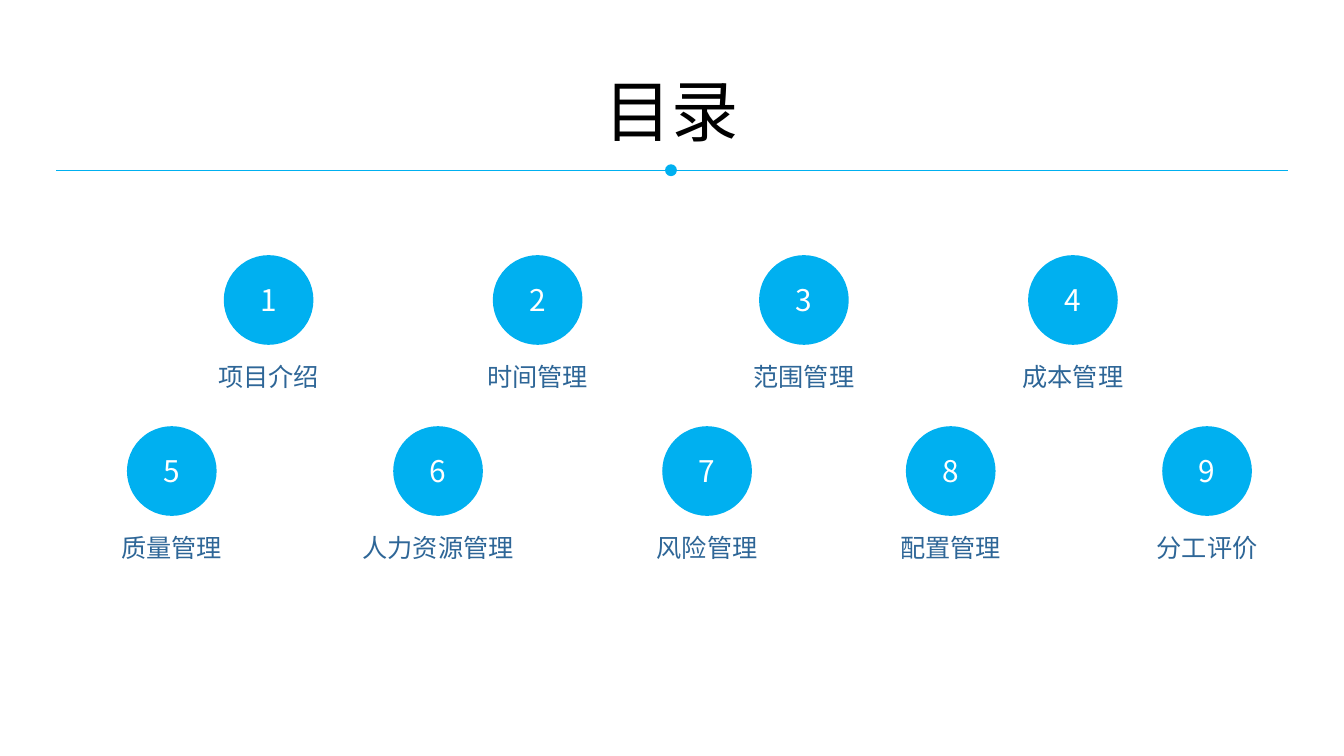
from lxml import etree
from pptx import Presentation
from pptx.dml.color import RGBColor
from pptx.enum.shapes import MSO_CONNECTOR, MSO_SHAPE
from pptx.enum.text import MSO_ANCHOR, MSO_AUTO_SIZE, PP_ALIGN
from pptx.oxml.ns import qn
from pptx.util import Cm, Pt

OVAL = MSO_SHAPE.OVAL
LINE = MSO_CONNECTOR.STRAIGHT
CENTER = PP_ALIGN.CENTER
MIDDLE = MSO_ANCHOR.MIDDLE
GROW = MSO_AUTO_SIZE.SHAPE_TO_FIT_TEXT

BLUE = "00B0F0"
TITLE = {"size": Pt(48), "name": "Noto Sans CJK SC", "color": "000000"}
DIGIT = {"size": Pt(21.3), "name": "Noto Sans CJK KR", "color": "FFFFFF"}
LABEL = {"size": Pt(18), "name": "Noto Sans CJK SC", "color": "2E6697"}

SIZE = 2.26
ROWS = [
    (6.43, [(5.64, "项目介绍"), (12.42, "时间管理"),
            (19.13, "范围管理"), (25.91, "成本管理")]),
    (10.74, [(3.2, "质量管理"), (9.91, "人力资源管理"), (16.69, "风险管理"),
             (22.83, "配置管理"), (29.29, "分工评价")]),
]


def paint(color, code):
    """Set a colour format from a hex string."""
    color.rgb = RGBColor.from_string(code)


def write(frame, text, style):
    """Write one centred line of styled text."""
    para = frame.paragraphs[0]
    para.alignment = CENTER
    run = para.add_run()
    run.text = text
    for key, value in style.items():
        if key == "color":
            paint(run.font.color, value)
        else:
            setattr(run.font, key, value)
    east = etree.SubElement(run.font._element, qn("a:ea"))
    east.set("typeface", style["name"])


def add_text(shapes, left, top, width, height, text, style):
    """Add a wrapping text box that grows with its text."""
    box = shapes.add_textbox(Cm(left), Cm(top), Cm(width), Cm(height))
    frame = box.text_frame
    for key, value in {"word_wrap": True, "auto_size": GROW}.items():
        setattr(frame, key, value)
    write(frame, text, style)


def add_disc(shapes, left, top, size):
    """Add a plain blue circle and return it."""
    disc = shapes.add_shape(OVAL, Cm(left), Cm(top), Cm(size), Cm(size))
    disc.shadow.inherit = False
    disc.fill.solid()
    paint(disc.fill.fore_color, BLUE)
    disc.line.fill.background()
    return disc


def add_rule(shapes, left, right, top):
    """Add a thin blue horizontal line."""
    rule = shapes.add_connector(LINE, Cm(left), Cm(top), Cm(right), Cm(top))
    paint(rule.line.color, BLUE)
    rule.line.width = Pt(0.75)
    etree.SubElement(rule._element.spPr, qn("a:effectLst"))


def add_topic(shapes, left, top, number, name):
    """Add a numbered circle with its label below."""
    group = shapes.add_group_shape().shapes
    disc = add_disc(group, left, top, SIZE)
    disc.text_frame.vertical_anchor = MIDDLE
    write(disc.text_frame, str(number), DIGIT)
    add_text(group, left - SIZE, top + 2.54, 3 * SIZE, 1.02, name, LABEL)


def main():
    """Build the contents slide."""
    deck = Presentation()
    deck.slide_width, deck.slide_height = Cm(33.87), Cm(19.05)
    shapes = deck.slides.add_slide(deck.slide_layouts[6]).shapes

    add_text(shapes, 3.38, 1.63, 27.1, 2.31, "目录", TITLE)
    head = shapes.add_group_shape().shapes
    add_rule(head, 1.42, 32.46, 4.29)
    add_disc(head, 16.76, 4.14, 0.3)

    number = 0
    for top, topics in ROWS:
        for left, name in topics:
            number += 1
            add_topic(shapes, left, top, number, name)
    deck.save("out.pptx")


if __name__ == "__main__":
    main()
